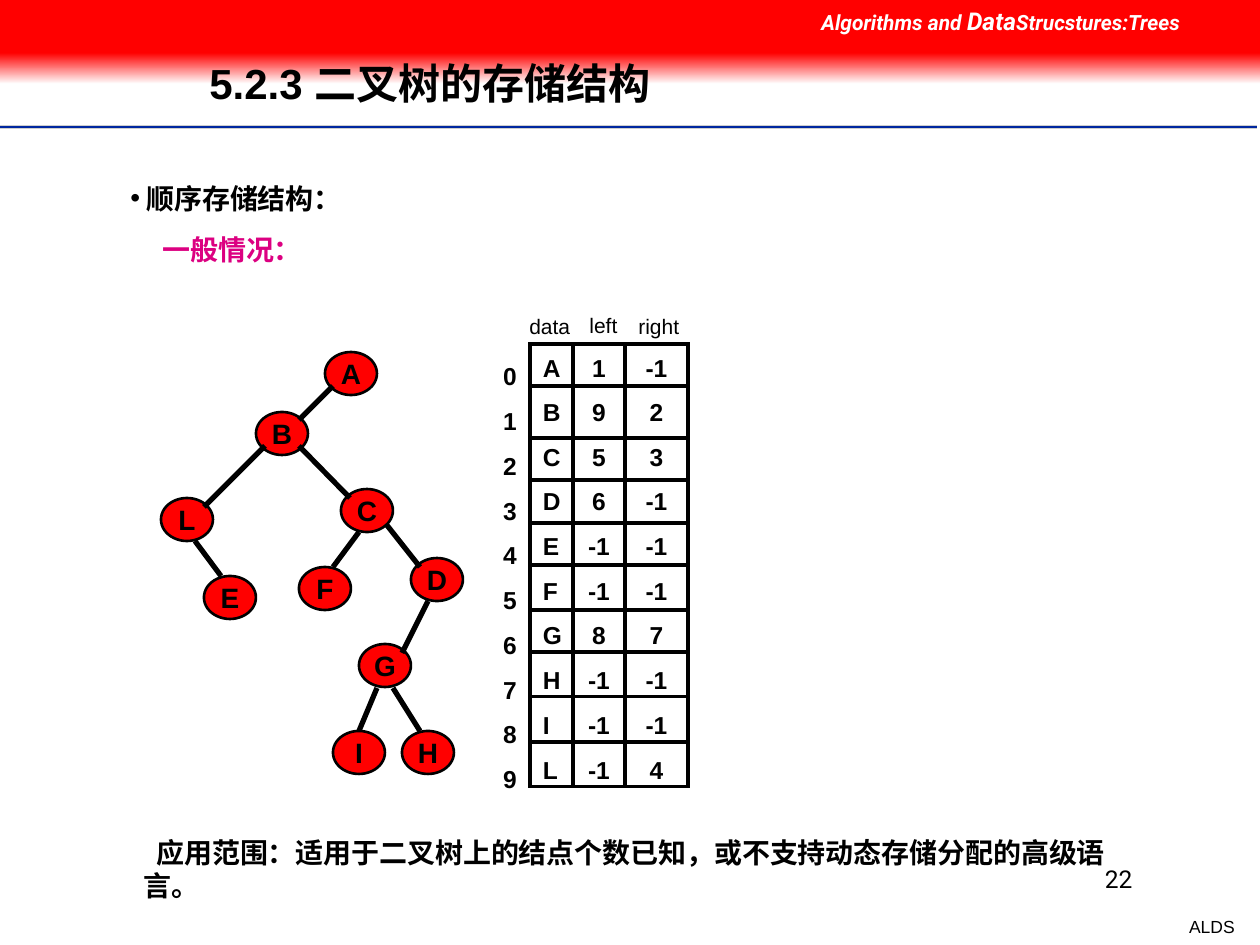
import lxml.etree
import pptx
import pptx.dml.color
import pptx.enum.dml
import pptx.enum.shapes
import pptx.enum.text
import pptx.oxml.ns
import pptx.util

SCALE = 914400 / 126
COLORS = {"black": "000000", "white": "FFFFFF", "red": "FF0000",
          "pink": "DC0081", "blue": "00279F", "gray": "CECECE"}
ALIGN = pptx.enum.text.PP_ALIGN
SHAPE = pptx.enum.shapes.MSO_SHAPE

NODE_W, NODE_H = 52, 43
NODES = {"A": (325, 352), "B": (256, 412), "C": (341, 489), "D": (411, 558),
         "E": (204, 576), "F": (299, 567), "G": (359, 644), "H": (402, 731),
         "I": (333, 731), "L": (161, 498)}
EDGES = [(333, 386, 299, 420), (265, 446, 204, 507), (299, 446, 350, 498),
         (386, 524, 420, 567), (359, 532, 333, 567), (195, 541, 221, 576),
         (428, 601, 402, 653), (377, 688, 359, 731), (393, 688, 420, 731)]

ROWS = [("A", 1, -1), ("B", 9, 2), ("C", 5, 3), ("D", 6, -1), ("E", -1, -1),
        ("F", -1, -1), ("G", 8, 7), ("H", -1, -1), ("I", -1, -1), ("L", -1, 4)]
COL_EDGES = [530, 573, 625, 688]
ROW_EDGES = [344, 386, 438, 480, 523, 565, 610, 652, 696, 741, 785]
TEXT_TOP, TEXT_PITCH = 355, 44.6


def px(n):
    return pptx.util.Emu(round(n * SCALE))


def rgb(name):
    return pptx.dml.color.RGBColor.from_string(COLORS[name])


def style(p, size, color="black", bold=False, italic=False, font="Arial"):
    for r in p.runs:
        r.font.size = pptx.util.Pt(size)
        r.font.name = font
        r.font.bold = bold
        r.font.italic = italic
        r.font.color.rgb = rgb(color)


def add_text(s, box, text, size, color="black", bold=False, font="Arial",
             align=ALIGN.LEFT, gap=0):
    tf = s.shapes.add_textbox(*map(px, box)).text_frame
    tf.word_wrap = True
    tf.text = text
    for i, p in enumerate(tf.paragraphs):
        p.alignment = align
        if i:
            p.space_before = pptx.util.Pt(gap)
        style(p, size, color, bold, font=font)
    return tf


def set_indent(p, left, first):
    pPr = p._p.get_or_add_pPr()
    pPr.set("marL", str(px(left)))
    pPr.set("indent", str(px(first)))
    return pPr


def add_line(s, ends, color, width):
    c = s.shapes.add_connector(pptx.enum.shapes.MSO_CONNECTOR.STRAIGHT, *map(px, ends))
    c.line.color.rgb = rgb(color)
    c.line.width = pptx.util.Pt(width)
    lxml.etree.SubElement(c._element.spPr, pptx.oxml.ns.qn("a:effectLst"))


def add_shape(s, kind, box):
    sp = s.shapes.add_shape(kind, *map(px, box))
    sp.shadow.inherit = False
    sp.line.fill.background()
    return sp


def add_header(s):
    for color, y, width in (("gray", 127, 2), ("blue", 127, 1), ("white", 130, 1)):
        add_line(s, (0, y, 1257, y), color, width)
    fade = add_shape(s, SHAPE.RECTANGLE, (0, 53, 1260, 31))
    fade.fill.gradient()
    fade.fill.gradient_angle = 270
    for stop, color, position in zip(fade.fill.gradient_stops, ("red", "white"), (0, 1)):
        stop.color.rgb = rgb(color)
        stop.position = position
    band = add_shape(s, SHAPE.RECTANGLE, (0, 0, 1260, 53))
    band.fill.solid()
    band.fill.fore_color.rgb = rgb("red")

    p = add_text(s, (809, 0, 451, 43), "", 12).paragraphs[0]
    for text in ("Algorithms and ", "Data", "Strucstures:Trees"):
        p.add_run().text = text
    style(p, 12, "white", True, True, "Roboto")
    p.runs[1].font.size = pptx.util.Pt(14)

    tf = add_text(s, (197, 39, 951, 93), "5.2.3 二叉树的存储结构", 24, bold=True)
    tf.vertical_anchor = pptx.enum.text.MSO_ANCHOR.MIDDLE
    tf.paragraphs[0].line_spacing = 0.9


def add_topics(s):
    tf = add_text(s, (118, 175, 300, 100), "顺序存储结构：\n一般情况：", 16, bold=True, gap=10)
    topic, case = tf.paragraphs
    pPr = set_indent(topic, 16, -16)
    for tag, name, value in (("buFont", "typeface", "Arial"), ("buChar", "char", "•")):
        lxml.etree.SubElement(pPr, pptx.oxml.ns.qn("a:" + tag)).set(name, value)
    set_indent(case, 32, 0)
    style(case, 16, "pink", True)


def add_node(s, label, left, top):
    sp = add_shape(s, SHAPE.OVAL, (left, top, NODE_W, NODE_H))
    sp.fill.solid()
    sp.fill.fore_color.rgb = rgb("red")
    sp.line.color.rgb = rgb("black")
    sp.line.width = pptx.util.Pt(1.5)
    tf = sp.text_frame
    tf.word_wrap = False
    tf.vertical_anchor = pptx.enum.text.MSO_ANCHOR.MIDDLE
    tf.text = label
    tf.paragraphs[0].alignment = ALIGN.CENTER
    style(tf.paragraphs[0], 16, bold=True)


def add_borders(cell):
    tcPr = cell._tc.get_or_add_tcPr()
    for side in ("lnL", "lnR", "lnT", "lnB"):
        ln = lxml.etree.SubElement(tcPr, pptx.oxml.ns.qn("a:" + side))
        ln.set("w", str(pptx.util.Pt(2.25)))
        fill = lxml.etree.SubElement(ln, pptx.oxml.ns.qn("a:solidFill"))
        lxml.etree.SubElement(fill, pptx.oxml.ns.qn("a:srgbClr")).set("val", COLORS["black"])


def add_node_table(s):
    left, top = COL_EDGES[0], ROW_EDGES[0]
    table = s.shapes.add_table(len(ROWS), 3, px(left), px(top), px(COL_EDGES[-1] - left),
                               px(ROW_EDGES[-1] - top)).table
    table.first_row = False
    table.horz_banding = False
    for j, col in enumerate(table.columns):
        col.width = px(COL_EDGES[j + 1] - COL_EDGES[j])
    for i, values in enumerate(ROWS):
        table.rows[i].height = px(ROW_EDGES[i + 1] - ROW_EDGES[i])
        for j, value in enumerate(values):
            cell = table.cell(i, j)
            add_borders(cell)
            cell.fill.background()
            cell.margin_left = px(0 if j else 13)
            cell.margin_right = cell.margin_bottom = 0
            cell.margin_top = px(TEXT_TOP + i * TEXT_PITCH - ROW_EDGES[i])
            p = cell.text_frame.paragraphs[0]
            p.text = str(value)
            p.alignment = ALIGN.CENTER if j else ALIGN.LEFT
            style(p, 14, bold=True)
    for text, x, y in (("data", 517, 307), ("left", 577, 306), ("right", 626, 307)):
        add_text(s, (x, y, 116, 38), text, 12)
    add_text(s, (489, 355, 42, 445), "\n".join(map(str, range(len(ROWS)))), 14,
             bold=True, align=ALIGN.CENTER, gap=8.8)


def add_footer(s):
    tf = add_text(s, (131, 829, 1005, 80),
                  "应用范围：适用于二叉树上的结点个数已知，或不支持动态存储分配的高级语言。", 16, bold=True)
    set_indent(tf.paragraphs[0], 0, 13)
    add_text(s, (903, 858, 242, 63), "22", 14, font="Roboto", align=ALIGN.RIGHT)
    add_text(s, (1127, 910, 120, 34), "ALDS", 10, align=ALIGN.RIGHT)


def main():
    prs = pptx.Presentation()
    prs.slide_width, prs.slide_height = px(1260), px(945)
    s = prs.slides.add_slide(prs.slide_layouts[6])
    add_header(s)
    add_topics(s)
    for label, (left, top) in NODES.items():
        add_node(s, label, left, top)
    for ends in EDGES:
        add_line(s, ends, "black", 3)
    add_node_table(s)
    add_footer(s)
    prs.save("out.pptx")


if __name__ == "__main__":
    main()
